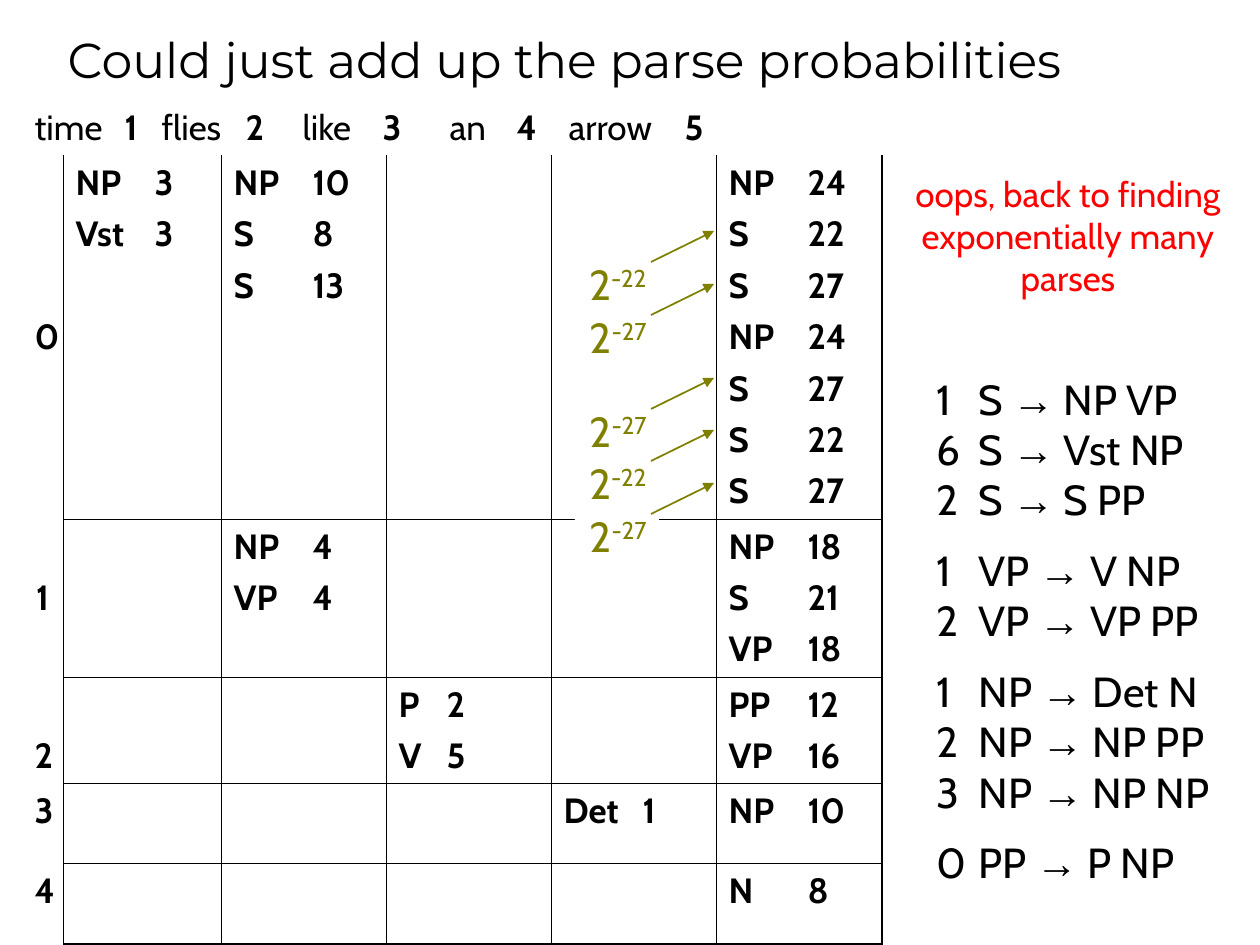
from dataclasses import dataclass

from lxml import etree
from pptx import Presentation
from pptx.dml.color import RGBColor
from pptx.enum.shapes import MSO_CONNECTOR, MSO_SHAPE
from pptx.enum.text import MSO_ANCHOR, MSO_AUTO_SIZE, PP_ALIGN
from pptx.oxml.ns import qn
from pptx.util import Emu, Pt

RECTANGLE, STRAIGHT = MSO_SHAPE.RECTANGLE, MSO_CONNECTOR.STRAIGHT
TOP, MIDDLE, BOTTOM = MSO_ANCHOR.TOP, MSO_ANCHOR.MIDDLE, MSO_ANCHOR.BOTTOM
LEFT, CENTER, RIGHT = PP_ALIGN.LEFT, PP_ALIGN.CENTER, PP_ALIGN.RIGHT
TITLE_ONLY = 5
PX_PER_INCH = 126


@dataclass(frozen=True)
class Theme:
    heading: str = "Montserrat"
    body: str = "Cabin"
    symbol: str = "Arial"
    ink: str = "000000"
    paper: str = "FFFFFF"
    olive: str = "808000"
    warning: str = "FF0000"
    title_size: float = 28
    rule_size: float = 24
    chart_size: float = 20
    thin: float = 0.45
    thick: float = 1.08


THEME = Theme()

SENTENCE = ["time", "flies", "like", "an", "arrow"]
SENTENCE_TABS = [90, 127, 211, 268, 348, 415, 482, 534, 650]
COLUMN_WIDTHS = [41, 158, 165, 165, 165, 166]
ROW_HEIGHTS = [55, 358, 157, 105, 80, 80]
POSITION_ANCHORS = [MIDDLE, MIDDLE, BOTTOM, TOP, TOP]
WEIGHT_TAB, NARROW_WEIGHT_TAB = 79, 48
# (row, column) -> constituents with their weights
CHART_ENTRIES = {
    (1, 1): ["NP 3", "Vst 3"],
    (1, 2): ["NP 10", "S 8", "S 13"],
    (1, 5): ["NP 24", "S 22", "S 27", "NP 24", "S 27", "S 22", "S 27"],
    (2, 2): ["NP 4", "VP 4"],
    (2, 5): ["NP 18", "S 21", "VP 18"],
    (3, 3): ["P 2", "V 5"],
    (3, 5): ["PP 12", "VP 16"],
    (4, 4): ["Det 1"],
    (4, 5): ["NP 10"],
    (5, 5): ["N 8"],
}
GRAMMAR = [
    ["1 S → NP VP", "6 S → Vst NP", "2 S → S PP"],
    ["1 VP → V NP", "2 VP → VP PP"],
    ["1 NP → Det N", "2 NP → NP PP", "3 NP → NP NP"],
    ["0 PP → P NP"],
]
PROBABILITIES = [(252, "-22"), (305, "-27"), (399, "-27"), (451, "-22"), (504, "-27")]


def px(length):
    return Emu(round(length * 914400 / PX_PER_INCH))


def box_px(box):
    return [px(length) for length in box]


def style(run, size, color=THEME.ink, font=THEME.body, bold=False):
    run.font.name, run.font.size, run.font.bold = font, Pt(size), bold
    run.font.color.rgb = RGBColor.from_string(color)


def set_tabs(paragraph, stops):
    tab_list = etree.SubElement(paragraph._p.get_or_add_pPr(), qn("a:tabLst"))
    for stop in stops:
        etree.SubElement(tab_list, qn("a:tab"), pos=str(px(stop)), algn="l")


def set_borders(cell, widths):
    """Draw left, right, top and bottom borders; a width of 0 hides the border."""
    properties = cell._tc.get_or_add_tcPr()
    for index, (side, width) in enumerate(zip("LRTB", widths)):
        line = etree.Element(qn(f"a:ln{side}"), w=str(Pt(width)))
        if width:
            fill = etree.SubElement(line, qn("a:solidFill"))
            etree.SubElement(fill, qn("a:srgbClr"), val=THEME.ink)
        else:
            etree.SubElement(line, qn("a:noFill"))
        properties.insert(index, line)


def cell_borders(row, column):
    thin, thick = THEME.thin, THEME.thick
    if row == 0:
        return 0, 0, 0, 0
    if column == 0:
        return 0, thin, 0, 0
    return (thin,
            thick if column == len(COLUMN_WIDTHS) - 1 else thin,
            thin if row > 1 else 0,
            thick if row == len(ROW_HEIGHTS) - 1 else thin)


def add_title(slide, box):
    title = slide.shapes.title
    title.left, title.top, title.width, title.height = box_px(box)
    frame = title.text_frame
    frame.text = "Could just add up the parse probabilities"
    frame.auto_size, frame.vertical_anchor = MSO_AUTO_SIZE.NONE, BOTTOM
    frame.paragraphs[0].alignment = LEFT
    style(frame.paragraphs[0].runs[0], THEME.title_size, font=THEME.heading)


def fill_sentence(cell):
    paragraph = cell.text_frame.paragraphs[0]
    set_tabs(paragraph, SENTENCE_TABS)
    for position, word in enumerate(SENTENCE, start=1):
        for text, bold in ((word, False), (f"\t{position}", True)):
            run = paragraph.add_run()
            run.text = text if bold or position == 1 else f"\t{text}"
            style(run, THEME.chart_size, bold=bold)


def fill_entries(cell, entries, tab):
    cell.text_frame.text = "\n".join(entry.replace(" ", "\t") for entry in entries)
    for index, paragraph in enumerate(cell.text_frame.paragraphs):
        set_tabs(paragraph, [tab])
        if index:
            paragraph.space_before = Pt(5)
        style(paragraph.runs[0], THEME.chart_size, bold=True)


def add_parse_chart(slide, box):
    frame = slide.shapes.add_table(len(ROW_HEIGHTS), len(COLUMN_WIDTHS), *box_px(box))
    table = frame.table
    table.first_row = table.horz_banding = False
    for column, width in zip(table.columns, COLUMN_WIDTHS):
        column.width = px(width)
    for row, height in zip(table.rows, ROW_HEIGHTS):
        row.height = px(height)
    for row in range(len(ROW_HEIGHTS)):
        for column in range(len(COLUMN_WIDTHS)):
            cell = table.cell(row, column)
            cell.fill.background()
            set_borders(cell, cell_borders(row, column))
    table.cell(0, 0).merge(table.cell(0, len(COLUMN_WIDTHS) - 1))
    fill_sentence(table.cell(0, 0))
    for position, anchor in enumerate(POSITION_ANCHORS):
        cell = table.cell(position + 1, 0)
        cell.text_frame.text = str(position)
        cell.vertical_anchor = anchor
        cell.text_frame.paragraphs[0].alignment = CENTER
        style(cell.text_frame.paragraphs[0].runs[0], THEME.chart_size, bold=True)
    for (row, column), entries in CHART_ENTRIES.items():
        tab = NARROW_WEIGHT_TAB if column == 3 else WEIGHT_TAB
        fill_entries(table.cell(row, column), entries, tab)


def add_grammar(slide, box):
    frame = slide.shapes.add_textbox(*box_px(box)).text_frame
    frame.word_wrap = True
    frame.text = "\n".join(rule for group in GRAMMAR for rule in group)
    group_starts = [group[0] for group in GRAMMAR[1:]]
    for paragraph in frame.paragraphs:
        rule = paragraph.text
        weight_and_head, expansion = rule.split("→")
        paragraph.text = weight_and_head.replace(" ", "\t", 1)
        set_tabs(paragraph, [42])
        if rule in group_starts:
            paragraph.space_before = Pt(11.5)
        for text in ("→", expansion):
            paragraph.add_run().text = text
        for run in paragraph.runs:
            style(run, THEME.rule_size, font=THEME.symbol if run.text == "→" else THEME.body)


def add_probability(slide, box, exponent):
    """Place a power of two with an arrow up to the chart entry on its right."""
    left, top, width, _ = box
    group = slide.shapes.add_group_shape()
    label = group.shapes.add_shape(RECTANGLE, *box_px(box))
    label.shadow.inherit = False
    label.fill.solid()
    label.fill.fore_color.rgb = RGBColor.from_string(THEME.paper)
    label.line.fill.background()
    frame = label.text_frame
    frame.word_wrap, frame.vertical_anchor = False, TOP
    paragraph = frame.paragraphs[0]
    paragraph.text = "2"
    paragraph.alignment = RIGHT
    power = paragraph.add_run()
    power.text = exponent
    for run in paragraph.runs:
        style(run, THEME.rule_size, THEME.olive)
    power._r.get_or_add_rPr().set("baseline", "30000")

    start = left + width - 8
    arrow = group.shapes.add_connector(
        STRAIGHT, *box_px((start, top + 10, start + 63, top - 21)))
    arrow.line.color.rgb = RGBColor.from_string(THEME.olive)
    arrow.line.width = Pt(1)
    etree.SubElement(arrow.line._get_or_add_ln(), qn("a:tailEnd"), type="triangle")
    etree.SubElement(arrow._element.spPr, qn("a:effectLst"))


def add_remark(slide, box):
    frame = slide.shapes.add_textbox(*box_px(box)).text_frame
    frame.word_wrap = True
    frame.text = "oops, back to finding exponentially many parses"
    frame.paragraphs[0].alignment = CENTER
    style(frame.paragraphs[0].runs[0], THEME.chart_size, THEME.warning)


def main():
    deck = Presentation()
    deck.slide_width, deck.slide_height = px(1260), px(945)
    slide = deck.slides.add_slide(deck.slide_layouts[TITLE_ONLY])
    add_title(slide, (55, 8, 1152, 87))
    add_parse_chart(slide, (22, 100, sum(COLUMN_WIDTHS), sum(ROW_HEIGHTS)))
    add_grammar(slide, (924, 367, 336, 527))
    for top, exponent in PROBABILITIES:
        add_probability(slide, (575, top, 84, 63), exponent)
    add_remark(slide, (886, 166, 364, 181))
    deck.save("out.pptx")


if __name__ == "__main__":
    main()
